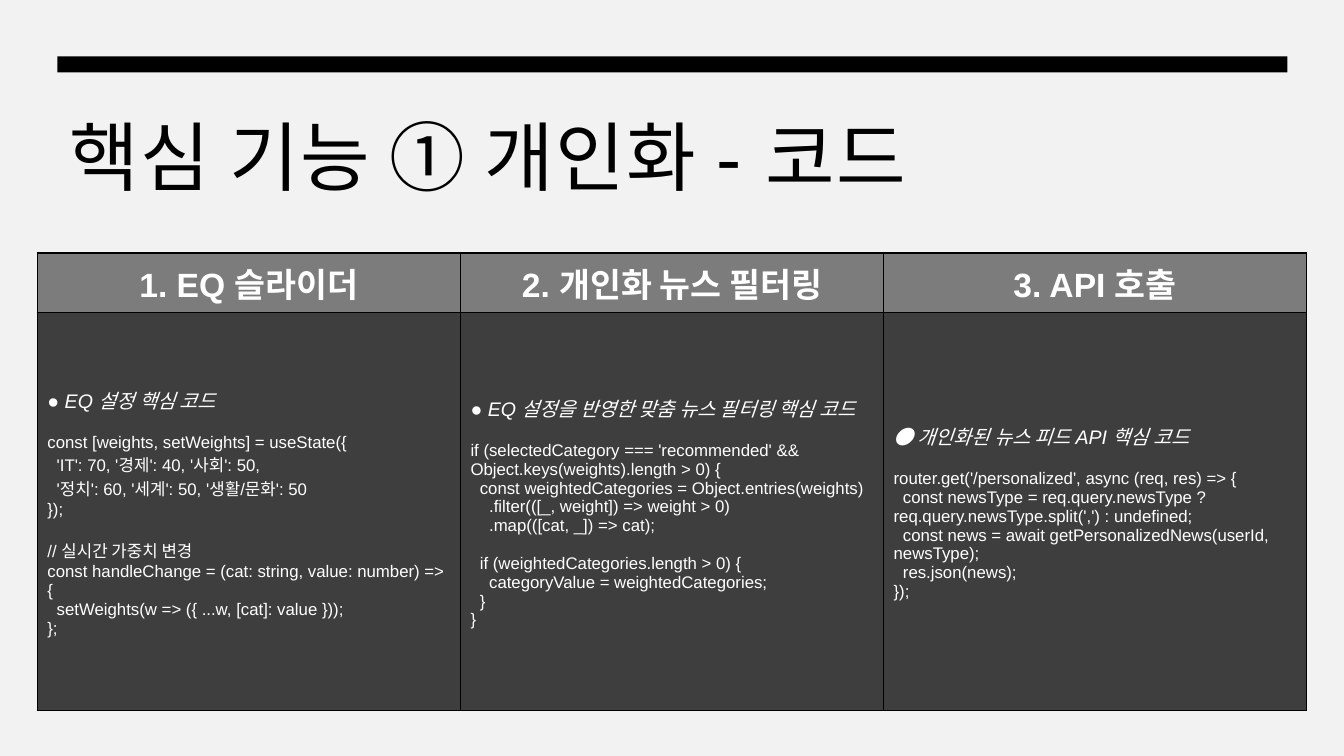
import pptx
import pptx.util
import pptx.dml.color
import pptx.enum.shapes
import pptx.enum.text
import pptx.oxml.ns
from lxml import etree

Inches, Pt = pptx.util.Inches, pptx.util.Pt
ANCHOR, ALIGN = pptx.enum.text.MSO_ANCHOR, pptx.enum.text.PP_ALIGN

# Content: each column has a header, a caption and blocks of code lines
TITLE = "핵심 기능 ① 개인화 - 코드"
COLUMNS = [
    ("1. EQ 슬라이더", "● EQ 설정 핵심 코드", [
        ["const [weights, setWeights] = useState({",
         "  'IT': 70, '경제': 40, '사회': 50,",
         "  '정치': 60, '세계': 50, '생활/문화': 50",
         "});"],
        ["// 실시간 가중치 변경",
         "const handleChange = (cat: string, value: number) => {",
         "  setWeights(w => ({ ...w, [cat]: value }));",
         "};"],
    ]),
    ("2. 개인화 뉴스 필터링", "● EQ 설정을 반영한 맞춤 뉴스 필터링 핵심 코드", [
        ["if (selectedCategory === 'recommended' && Object.keys(weights).length > 0) {",
         "  const weightedCategories = Object.entries(weights)",
         "    .filter(([_, weight]) => weight > 0)",
         "    .map(([cat, _]) => cat);"],
        ["  if (weightedCategories.length > 0) {",
         "    categoryValue = weightedCategories;",
         "  }",
         "}"],
    ]),
    ("3. API 호출", "● 개인화된 뉴스 피드 API 핵심 코드", [
        ["router.get('/personalized', async (req, res) => {",
         "  const newsType = req.query.newsType ? req.query.newsType.split(',') : undefined;",
         "  const news = await getPersonalizedNews(userId, newsType);",
         "  res.json(news);",
         "});"],
    ]),
]

# Formats
COLORS = {"background": "F2F2F2", "black": "000000", "white": "FFFFFF",
          "header": "7C7C7C", "body": "3E3E3E"}
TITLE_FONT = {"name": "Arial", "size": Pt(54), "bold": False, "italic": False}
HEADER_FONT = {"name": "Arial", "size": Pt(24), "bold": True, "italic": False}
CAPTION_FONT = {"name": "Arial", "size": Pt(14), "bold": False, "italic": True}
CODE_FONT = {"name": "Arial", "size": Pt(12), "bold": False, "italic": False}
BLOCK_GAP = Pt(13.5)
ROW_HEIGHTS = [0.59, 3.95]
TABLE_WIDTH = 12.59


def paint(fill, color):
    fill.solid()
    fill.fore_color.rgb = pptx.dml.color.RGBColor.from_string(COLORS[color])


def write(paragraph, text, font_format, color, gap=0):
    run = paragraph.add_run()
    run.text = text
    paragraph.space_before = gap
    for name, value in font_format.items():
        setattr(run.font, name, value)
    paint(run.font.fill, color)
    return run


def style_cell(cell, color):
    paint(cell.fill, color)
    cell.vertical_anchor = ANCHOR.MIDDLE
    properties = cell._tc.get_or_add_tcPr()
    for index, side in enumerate(("lnL", "lnR", "lnT", "lnB")):
        border = etree.Element(pptx.oxml.ns.qn("a:" + side), w=str(Pt(1)))
        line_fill = etree.SubElement(border, pptx.oxml.ns.qn("a:solidFill"))
        etree.SubElement(line_fill, pptx.oxml.ns.qn("a:srgbClr"), val=COLORS["black"])
        properties.insert(index, border)


def main():
    presentation = pptx.Presentation()
    presentation.slide_width, presentation.slide_height = Inches(13.33), Inches(7.5)
    slide = presentation.slides.add_slide(presentation.slide_layouts[5])
    paint(slide.background.fill, "background")

    # Bar above the title
    bar = slide.shapes.add_shape(pptx.enum.shapes.MSO_SHAPE.RECTANGLE,
                                 Inches(0.57), Inches(0.56), Inches(12.2), Inches(0.16))
    bar.shadow.inherit = False
    paint(bar.fill, "black")
    bar.line.fill.background()

    # Title
    title = slide.shapes.title
    title.left, title.top = Inches(0.57), Inches(1.07)
    title.width, title.height = Inches(12.2), Inches(1.6)
    frame_format = {"margin_left": Inches(0.12), "margin_top": Inches(0.12),
                    "margin_right": Inches(0.12), "margin_bottom": Inches(0.1),
                    "vertical_anchor": ANCHOR.TOP, "word_wrap": True,
                    "auto_size": pptx.enum.text.MSO_AUTO_SIZE.NONE}
    for name, value in frame_format.items():
        setattr(title.text_frame, name, value)
    heading = title.text_frame.paragraphs[0]
    heading.alignment = ALIGN.LEFT
    heading.line_spacing = 0.9
    run = write(heading, TITLE, TITLE_FONT, "black")
    run.font._element.set("spc", "100")

    # Table of code
    table = slide.shapes.add_table(
        len(ROW_HEIGHTS), len(COLUMNS), Inches(0.37), Inches(2.51),
        Inches(TABLE_WIDTH), Inches(sum(ROW_HEIGHTS))).table
    table.first_row = table.horz_banding = False
    for row, height in zip(table.rows, ROW_HEIGHTS):
        row.height = Inches(height)
    for index, (header, caption, blocks) in enumerate(COLUMNS):
        table.columns[index].width = Inches(TABLE_WIDTH / len(COLUMNS))
        header_cell, code_cell = table.cell(0, index), table.cell(1, index)
        style_cell(header_cell, "header")
        style_cell(code_cell, "body")

        header_paragraph = header_cell.text_frame.paragraphs[0]
        header_paragraph.alignment = ALIGN.CENTER
        write(header_paragraph, header, HEADER_FONT, "white")

        code_frame = code_cell.text_frame
        write(code_frame.paragraphs[0], caption, CAPTION_FONT, "white")
        for block in blocks:
            for number, line in enumerate(block):
                write(code_frame.add_paragraph(), line, CODE_FONT, "white",
                      0 if number else BLOCK_GAP)

    presentation.save("out.pptx")


if __name__ == "__main__":
    main()
